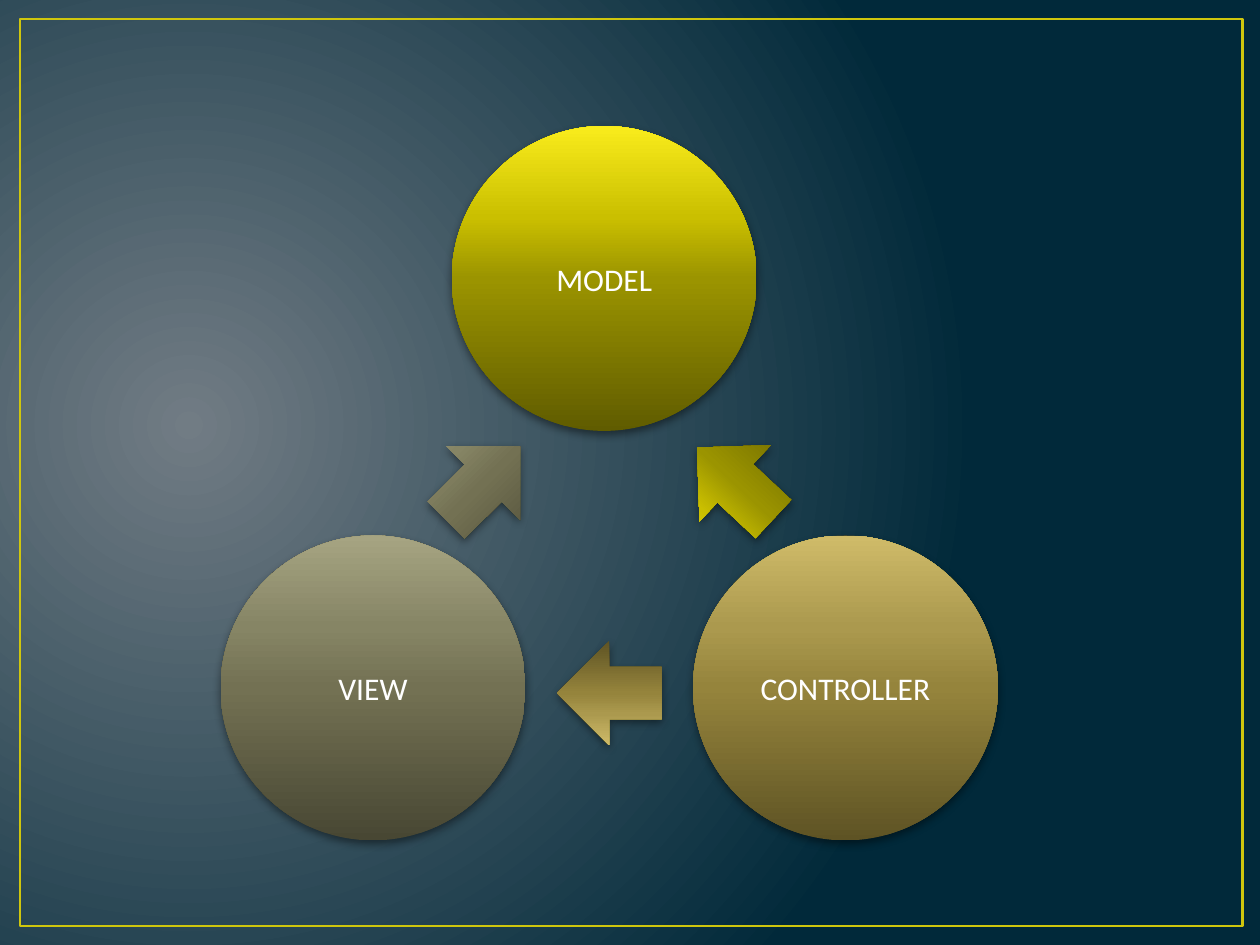
from lxml import etree
from pptx import Presentation
from pptx.dml.color import RGBColor
from pptx.enum.shapes import MSO_SHAPE
from pptx.enum.text import MSO_ANCHOR, PP_ALIGN
from pptx.oxml.ns import qn
from pptx.util import Inches, Pt

RECTANGLE, OVAL, ARROW = MSO_SHAPE.RECTANGLE, MSO_SHAPE.OVAL, MSO_SHAPE.RIGHT_ARROW
CENTER, MIDDLE = PP_ALIGN.CENTER, MSO_ANCHOR.MIDDLE

COLORS = {"frame": "CFC60D", "text": "FFFFFF", "shadow": "000000",
          "glow": "717C84", "night": "01293A"}
# Gradient colours from the bottom edge to the top edge
GRADIENTS = {
    "yellow": ("605C00", "9B9400", "CABF00", "F9EC1C"),
    "olive": ("484733", "737153", "868565", "A6A482"),
    "gold": ("5E5324", "95843C", "AB994E", "CFBB69"),
}
STOPS = (0, 50, 70, 100)
CIRCLE_SIZE = 2.42
ARROW_SIZE = 0.83


def add_child(parent, tag, **attributes):
    child = etree.SubElement(parent, qn(tag))
    for name, value in attributes.items():
        child.set(name, str(value))
    return child


def set_gradient(parent, stops):
    """Swap the solid fill of parent for a gradient and return it."""
    gradient = etree.Element(qn("a:gradFill"), rotWithShape="1")
    stop_list = add_child(gradient, "a:gsLst")
    for position, color in stops:
        stop = add_child(stop_list, "a:gs", pos=position * 1000)
        add_child(stop, "a:srgbClr", val=color)
    parent.replace(parent.find(qn("a:solidFill")), gradient)
    return gradient


def paint_background(slide):
    slide.background.fill.solid()
    properties = slide.element.find(".//" + qn("p:bgPr"))
    gradient = set_gradient(properties, [(0, COLORS["glow"]), (100, COLORS["night"])])
    circle = etree.SubElement(gradient, qn("a:path"))
    circle.set("path", "circle")
    add_child(circle, "a:fillToRect", l=15000, t=50000, r=85000, b=60000)


def add_frame(slide, left, top, width, height):
    frame = slide.shapes.add_shape(RECTANGLE, Inches(left), Inches(top),
                                   Inches(width), Inches(height))
    frame.shadow.inherit = False
    frame.fill.background()
    frame.line.color.rgb = RGBColor.from_string(COLORS["frame"])
    frame.line.width = Pt(1.5)


def add_glossy_shape(slide, kind, center_x, center_y, size, palette):
    shape = slide.shapes.add_shape(kind, Inches(center_x - size / 2),
                                   Inches(center_y - size / 2),
                                   Inches(size), Inches(size))
    shape.line.fill.background()
    shape.fill.solid()
    properties = shape.element.spPr
    gradient = set_gradient(properties, zip(STOPS, GRADIENTS[palette]))
    add_child(gradient, "a:lin", ang=270 * 60000, scaled=0)
    shape.shadow.inherit = False
    shadow = add_child(properties.find(qn("a:effectLst")), "a:outerShdw",
                       blurRad=Pt(5), dist=Pt(2), dir=90 * 60000, rotWithShape=0)
    color = add_child(shadow, "a:srgbClr", val=COLORS["shadow"])
    add_child(color, "a:alpha", val=43000)
    return shape


def add_circle(slide, center_x, center_y, palette, label):
    circle = add_glossy_shape(slide, OVAL, center_x, center_y, CIRCLE_SIZE, palette)
    text_frame = circle.text_frame
    text_frame.text = label
    text_frame.vertical_anchor = MIDDLE
    paragraph = text_frame.paragraphs[0]
    paragraph.alignment = CENTER
    font = paragraph.runs[0].font
    font.name = "Calibri"
    font.size = Pt(18)
    font.color.rgb = RGBColor.from_string(COLORS["text"])


def add_arrow(slide, center_x, center_y, palette, rotation):
    arrow = add_glossy_shape(slide, ARROW, center_x, center_y, ARROW_SIZE, palette)
    arrow.rotation = rotation


def add_cycle(slide, left, top, width, height):
    """Three circles in a triangle, with an arrow along each side."""
    radius = CIRCLE_SIZE / 2
    middle = left + width / 2
    upper, lower = top + radius, top + height - radius
    add_circle(slide, middle - 0.04, upper, "yellow", "MODEL")
    add_circle(slide, left + radius, lower, "olive", "VIEW")
    add_circle(slide, left + width - radius, lower, "gold", "CONTROLLER")

    side_y = (upper + lower) / 2
    add_arrow(slide, middle + 1, side_y, "yellow", 223.1)
    add_arrow(slide, middle, lower + 0.04, "gold", 180)
    add_arrow(slide, middle - 1, side_y, "olive", 315.1)


def main():
    presentation = Presentation()
    presentation.slide_width = Inches(10)
    presentation.slide_height = Inches(7.5)
    slide = presentation.slides.add_slide(presentation.slide_layouts[6])
    paint_background(slide)
    add_frame(slide, 0.16, 0.15, 9.7, 7.2)
    add_cycle(slide, 1.75, 1, 6.17, 5.67)
    presentation.save("out.pptx")


if __name__ == "__main__":
    main()
